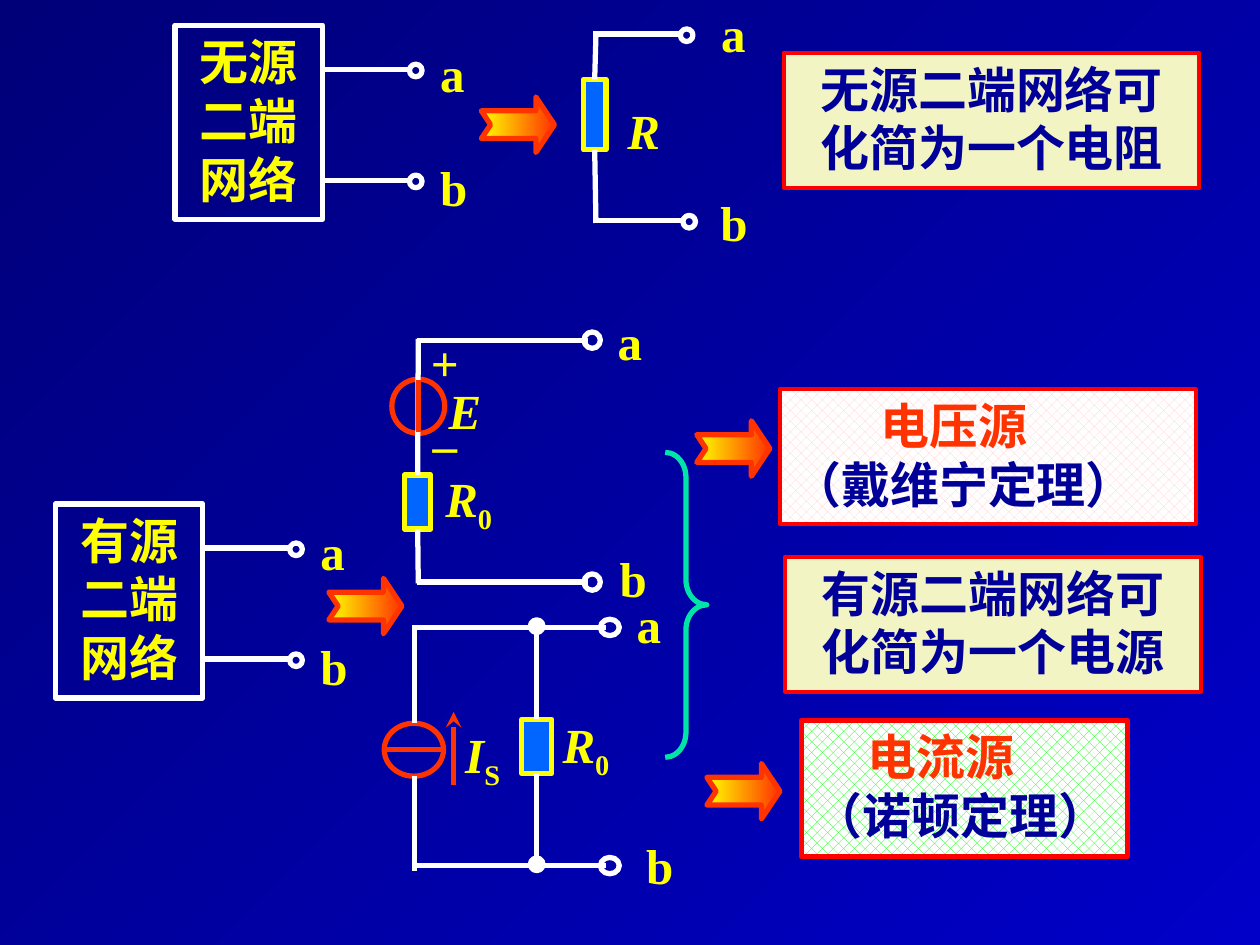
from pptx import Presentation
from pptx.dml.color import RGBColor
from pptx.enum.dml import MSO_PATTERN_TYPE as PATTERN
from pptx.enum.shapes import MSO_CONNECTOR, MSO_SHAPE as SHAPE
from pptx.enum.text import MSO_ANCHOR as ANCHOR, PP_ALIGN as ALIGN
from pptx.oxml.ns import qn
from pptx.util import Inches, Pt
from lxml.etree import SubElement

WHITE, YELLOW, RED, ORANGE = "FFFFFF", "FFFF03", "FF0000", "FF3300"
NAVY, BLUE, CREAM, TEAL = "000099", "0066FF", "F3F4C4", "00E4A8"
TOP, BOTTOM = 0, 2


def color(hex_string):
    return RGBColor.from_string(hex_string)


def set_gradient(fill, first, last, angle):
    fill.gradient()
    fill.gradient_angle = angle
    for stop, position, value in zip(fill.gradient_stops, (0, 1), (first, last)):
        stop.position = position
        stop.color.rgb = color(value)


class CircuitSlide:
    font, size, weight = "Times New Roman", Pt(28), 3

    def __init__(self, slide):
        self.slide = slide
        self.shapes = slide.shapes

    def format_run(self, run, text_color):
        run.font.name, run.font.size, run.font.bold = self.font, self.size, True
        run.font.color.rgb = color(text_color)

    def outline(self, kind, left, top, width, height, line=WHITE, fill=None, weight=weight):
        shape = self.shapes.add_shape(
            kind, Inches(left), Inches(top), Inches(width), Inches(height))
        shape.shadow.inherit = False
        if fill:
            shape.fill.solid()
            shape.fill.fore_color.rgb = color(fill)
        else:
            shape.fill.background()
        shape.line.color.rgb = color(line)
        shape.line.width = Pt(weight)
        return shape

    def box(self, left, top, width, height, lines, align=ALIGN.CENTER, **style):
        """Rectangle holding (text, colour, left margin) lines."""
        shape = self.outline(SHAPE.RECTANGLE, left, top, width, height, **style)
        frame = shape.text_frame
        frame.word_wrap, frame.vertical_anchor = True, ANCHOR.TOP
        frame.text = "\n".join(text for text, _, _ in lines)
        for paragraph, (_, text_color, margin) in zip(frame.paragraphs, lines):
            paragraph.alignment = align
            if margin:
                paragraph._p.get_or_add_pPr().set("marL", str(Inches(margin)))
            self.format_run(paragraph.runs[0], text_color)
        return shape

    def theorem(self, left, top, width, height, lines, tint, weight):
        shape = self.box(left, top, width, height, lines, ALIGN.LEFT,
                         line=RED, weight=weight)
        shape.fill.patterned()
        shape.fill.pattern = PATTERN.from_xml("pct40")
        shape.fill.fore_color.rgb = color(tint)
        shape.fill.back_color.rgb = color(WHITE)

    def label(self, text, left, top, width=0.4, height=0.57, italic=False, subscript=""):
        text_box = self.shapes.add_textbox(
            Inches(left), Inches(top), Inches(width), Inches(height))
        frame = text_box.text_frame
        frame.word_wrap, frame.vertical_anchor = False, ANCHOR.MIDDLE
        frame.text = text
        for paragraph in frame.paragraphs:
            paragraph.alignment = ALIGN.CENTER
            paragraph.space_before = Pt(3)
            self.format_run(paragraph.runs[0], YELLOW)
            paragraph.runs[0].font.italic = italic
        if subscript:
            run = frame.paragraphs[0].add_run()
            run.text = subscript
            self.format_run(run, YELLOW)
            run.font._element.set("baseline", "-25000")

    def wire(self, x1, y1, x2, y2, line=WHITE, start=None, end=None, arrow=False):
        """Straight line; start and end are (shape, side) to join."""
        connector = self.shapes.add_connector(
            MSO_CONNECTOR.STRAIGHT, Inches(x1), Inches(y1), Inches(x2), Inches(y2))
        if start:
            connector.begin_connect(*start)
        if end:
            connector.end_connect(*end)
        connector.line.color.rgb = color(line)
        connector.line.width = Pt(self.weight)
        if arrow:
            SubElement(connector.line._get_or_add_ln(), qn("a:tailEnd"), type="stealth")
        SubElement(connector._element.spPr, qn("a:effectLst"))

    def terminal(self, x, y, width=0.1, height=0.1, fill=None):
        self.outline(SHAPE.OVAL, x - width / 2, y - height / 2, width, height, fill=fill)

    def resistor(self, left, top, width, height):
        return self.outline(SHAPE.RECTANGLE, left, top, width, height, YELLOW, BLUE)

    def arrow(self, left, top):
        shape = self.outline(SHAPE.NOTCHED_RIGHT_ARROW, left, top, 0.58, 0.44, ORANGE)
        shape.adjustments[0], shape.adjustments[1] = 0.5, 0.333
        set_gradient(shape.fill, "FFFF00", ORANGE, 0)

    def network(self, left, top, text):
        """Two-terminal network with its leads a and b."""
        self.box(left, top, 1.17, 1.54, [(text, YELLOW, 0)])
        for name, lead, label_top, width in (("a", 0.35, 0.09, 0.4), ("b", 1.23, 1, 0.42)):
            self.wire(left + 1.17, top + lead, left + 1.88, top + lead)
            self.terminal(left + 1.91, top + lead + 0.01)
            self.label(name, left + 2, top + label_top, width)


def main():
    presentation = Presentation()
    presentation.slide_width, presentation.slide_height = Inches(10), Inches(7.5)
    slide = presentation.slides.add_slide(presentation.slide_layouts[6])
    set_gradient(slide.background.fill, "000078", "0000C8", 315)
    circuit = CircuitSlide(slide)

    # Networks and step arrows
    circuit.network(1.39, 0.2, "无源二端网络")
    circuit.network(0.44, 4, "有源二端网络")
    for left, top in ((3.82, 0.77), (2.61, 4.59), (5.53, 3.34), (5.61, 6.06)):
        circuit.arrow(left, top)

    # Conclusions
    for left, top, text in ((6.22, 0.42, "无源二端网络可化简为一个电阻"),
                            (6.23, 4.42, "有源二端网络可化简为一个电源")):
        circuit.box(left, top, 3.3, 1.07, [(text, NAVY, 0)],
                    line=RED, fill=CREAM, weight=2.25)
    circuit.theorem(6.19, 3.09, 3.3, 1.07,
                    [("电压源", ORANGE, 0.7), ("（戴维宁定理）", NAVY, 0)], "FFCCCC", 2.25)
    circuit.theorem(6.36, 5.72, 2.59, 1.08,
                    [("电流源", ORANGE, 0.43), ("（诺顿定理）", NAVY, 0)], "00FF00", 3)
    brace = circuit.outline(SHAPE.LEFT_BRACE, 5.28, 3.59, 0.33, 2.42, TEAL)
    brace.adjustments[0], brace.adjustments[1] = 0.603, 0.5
    brace._element.spPr.get_or_add_xfrm().set("flipH", "1")

    # Equivalent resistance
    resistor = circuit.resistor(4.63, 0.63, 0.18, 0.56)
    circuit.wire(4.73, 0.63, 4.73, 0.27, start=(resistor, TOP))
    circuit.wire(4.73, 1.19, 4.73, 1.77, start=(resistor, BOTTOM))
    circuit.label("R", 4.88, 0.75, 0.46, italic=True)
    for name, x, y, label_top in (("a", 5.45, 0.27, -0.02), ("b", 5.47, 1.75, 1.48)):
        circuit.wire(4.71, y, x - 0.03, y)
        circuit.terminal(x, y + 0.01)
        circuit.label(name, 5.62, label_top)

    # Voltage source E in series with R0
    circuit.outline(SHAPE.OVAL, 3.11, 3.01, 0.42, 0.43, ORANGE)
    resistor = circuit.resistor(3.21, 3.77, 0.21, 0.43)
    circuit.wire(3.32, 2.69, 3.32, 3.77, end=(resistor, TOP))
    circuit.wire(3.32, 4.2, 3.32, 4.63, start=(resistor, BOTTOM))
    circuit.wire(3.32, 3.02, 3.32, 3.43, ORANGE)
    circuit.label("+\n_", 3.32, 2.59, 0.42, 1.08)
    circuit.label("E", 3.28, 2.97, 0.82, italic=True)
    circuit.label("R", 3.31, 3.7, 0.82, italic=True, subscript="0")
    for name, y, left, top in (("a", 2.7, 4.8, 2.42), ("b", 4.62, 4.82, 4.3)):
        circuit.wire(3.31, y, 4.67, y)
        circuit.terminal(4.7, y, 0.13, 0.13)
        circuit.label(name, left, top)

    # Current source IS in parallel with R0
    circuit.outline(SHAPE.OVAL, 3.05, 5.74, 0.47, 0.42, ORANGE)
    circuit.wire(3.05, 5.95, 3.52, 5.95, ORANGE)
    circuit.wire(3.29, 5, 3.29, 5.74)
    circuit.wire(3.29, 6.16, 3.29, 6.91)
    circuit.wire(3.6, 6.23, 3.6, 5.65, ORANGE, arrow=True)
    circuit.label("I", 3.42, 5.73, 0.82, italic=True, subscript="S")
    resistor = circuit.resistor(4.14, 5.71, 0.24, 0.43)
    circuit.wire(4.26, 5.71, 4.26, 4.97, start=(resistor, TOP))
    circuit.wire(4.26, 6.14, 4.26, 6.88, start=(resistor, BOTTOM))
    circuit.label("R", 4.24, 5.65, 0.82, italic=True, subscript="0")
    for name, y, left, top in (("a", 4.98, 4.95, 4.67), ("b", 6.87, 5.03, 6.58)):
        circuit.wire(3.27, y, 4.81, y)
        circuit.terminal(4.84, y, 0.15, 0.13)
        circuit.terminal(4.26, y - 0.01, fill=WHITE)
        circuit.label(name, left, top)

    presentation.save("out.pptx")


if __name__ == "__main__":
    main()
